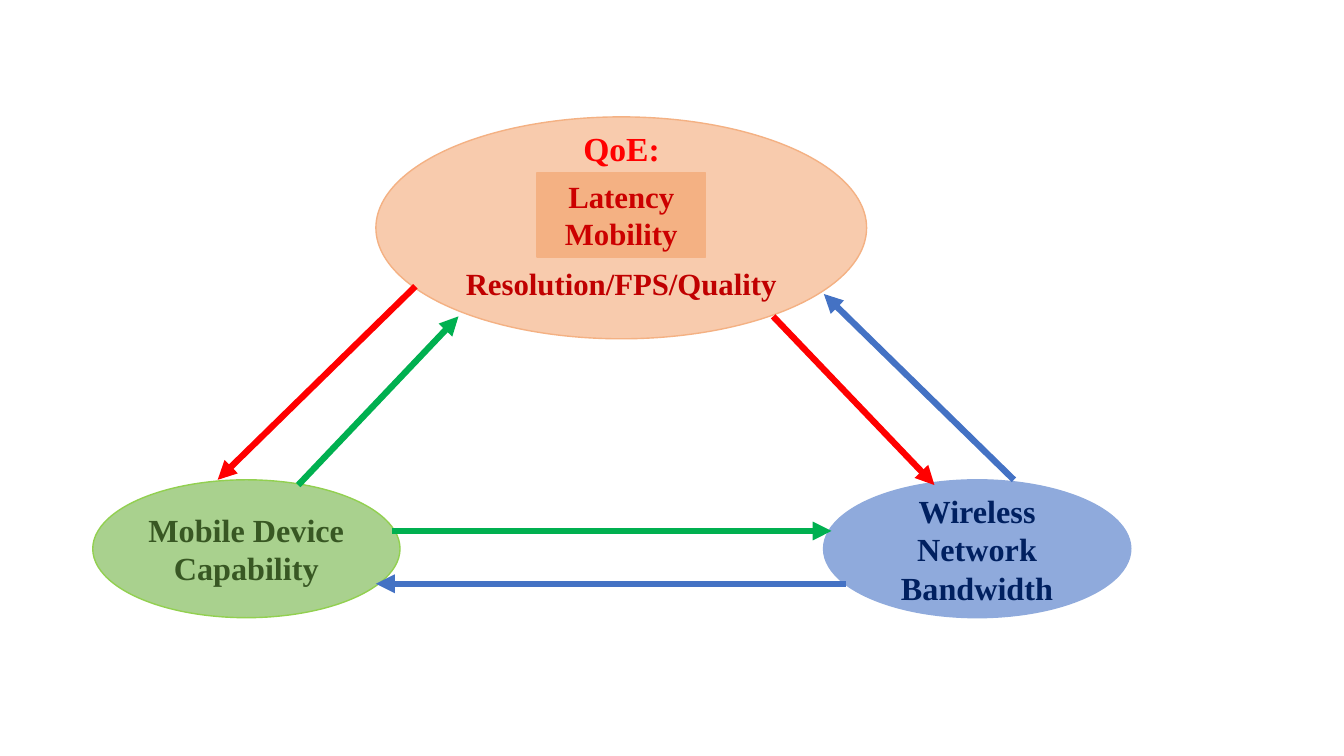
from dataclasses import dataclass

import lxml.etree
import pptx
import pptx.dml.color
import pptx.enum.shapes
import pptx.enum.text
import pptx.oxml.ns
import pptx.util

Pt = pptx.util.Pt
SHAPES = pptx.enum.shapes.MSO_SHAPE
ANCHORS = pptx.enum.text.MSO_ANCHOR


@dataclass(frozen=True)
class Theme:
    font: str = "Times New Roman"
    title_size: float = 24
    node_size: float = 23
    metric_size: float = 22
    outline_width: float = 1
    arrow_width: float = 4.5
    qoe_fill: str = "F8CBAD"
    metric_fill: str = "F4B183"
    device_fill: str = "A9D18E"
    device_line: str = "92D050"
    network_fill: str = "8FAADC"
    quality_text: str = "C00000"
    metric_text: str = "CC0000"
    device_text: str = "385723"
    network_text: str = "002060"
    qoe_accent: str = "FF0000"
    device_accent: str = "00B050"
    network_accent: str = "4472C4"


def rgb(color):
    return pptx.dml.color.RGBColor.from_string(color)


class Diagram:
    def __init__(self, slide, theme):
        self.slide = slide
        self.theme = theme

    def add_lines(self, shape, lines, size, color, anchor):
        frame = shape.text_frame
        frame.word_wrap = True
        frame.vertical_anchor = anchor
        for index, line in enumerate(lines):
            paragraph = frame.add_paragraph() if index else frame.paragraphs[0]
            paragraph.alignment = pptx.enum.text.PP_ALIGN.CENTER
            run = paragraph.add_run()
            run.text = line
            run.font.name = self.theme.font
            run.font.size = Pt(size)
            run.font.bold = True
            run.font.color.rgb = rgb(color)

    def node(self, kind, box, fill, outline, lines, size, color, anchor=ANCHORS.MIDDLE):
        shape = self.slide.shapes.add_shape(kind, *map(Pt, box))
        shape.shadow.inherit = False
        shape.fill.solid()
        shape.fill.fore_color.rgb = rgb(fill)
        shape.line.color.rgb = rgb(outline)
        shape.line.width = Pt(self.theme.outline_width)
        self.add_lines(shape, lines, size, color, anchor)

    def label(self, box, lines, size, color):
        shape = self.slide.shapes.add_textbox(*map(Pt, box))
        self.add_lines(shape, lines, size, color, ANCHORS.TOP)

    def arrow(self, start, end, color):
        connector = self.slide.shapes.add_connector(
            pptx.enum.shapes.MSO_CONNECTOR.STRAIGHT, *map(Pt, start + end))
        connector.line.color.rgb = rgb(color)
        connector.line.width = Pt(self.theme.arrow_width)
        qualified = pptx.oxml.ns.qn
        properties = connector.element.spPr
        outline = properties.find(qualified("a:ln"))
        lxml.etree.SubElement(outline, qualified("a:tailEnd"), type="triangle")
        lxml.etree.SubElement(properties, qualified("a:effectLst"))


def main():
    presentation = pptx.Presentation()
    presentation.slide_width = Pt(960)
    presentation.slide_height = Pt(540)
    slide = presentation.slides.add_slide(presentation.slide_layouts[6])
    theme = Theme()
    diagram = Diagram(slide, theme)

    diagram.node(SHAPES.OVAL, (268.5, 83.5, 350.5, 158.5), theme.qoe_fill,
                 theme.metric_fill, ["Resolution/FPS/Quality"],
                 theme.metric_size, theme.quality_text, ANCHORS.BOTTOM)
    resources = [
        (66.25, theme.device_fill, theme.device_line,
         ["Mobile Device", "Capability"], theme.device_text),
        (588.25, theme.network_fill, theme.network_fill,
         ["Wireless Network", "Bandwidth"], theme.network_text),
    ]
    for left, fill, outline, lines, color in resources:
        diagram.node(SHAPES.OVAL, (left, 342.75, 219.5, 98.5), fill, outline,
                     lines, theme.node_size, color)

    # Each arrow takes the accent of the node it leaves.
    arrows = [
        ((213, 346.5), (327.5, 226), theme.device_accent),
        ((296.75, 204.5), (155.5, 342.75), theme.qoe_accent),
        ((280, 379.25), (594, 379.25), theme.device_accent),
        ((604.5, 417), (268.5, 417), theme.network_accent),
        ((552.25, 226), (667.5, 346.5), theme.qoe_accent),
        ((724.25, 342.75), (588.5, 210), theme.network_accent),
    ]
    for start, end, color in arrows:
        diagram.arrow(start, end, color)

    diagram.node(SHAPES.RECTANGLE, (383.5, 123.5, 120.5, 60), theme.metric_fill,
                 theme.metric_fill, ["Latency", "Mobility"],
                 theme.metric_size, theme.metric_text)
    diagram.label((408, 88, 72, 36), ["QoE:"], theme.title_size, theme.qoe_accent)

    presentation.save("out.pptx")


if __name__ == "__main__":
    main()
